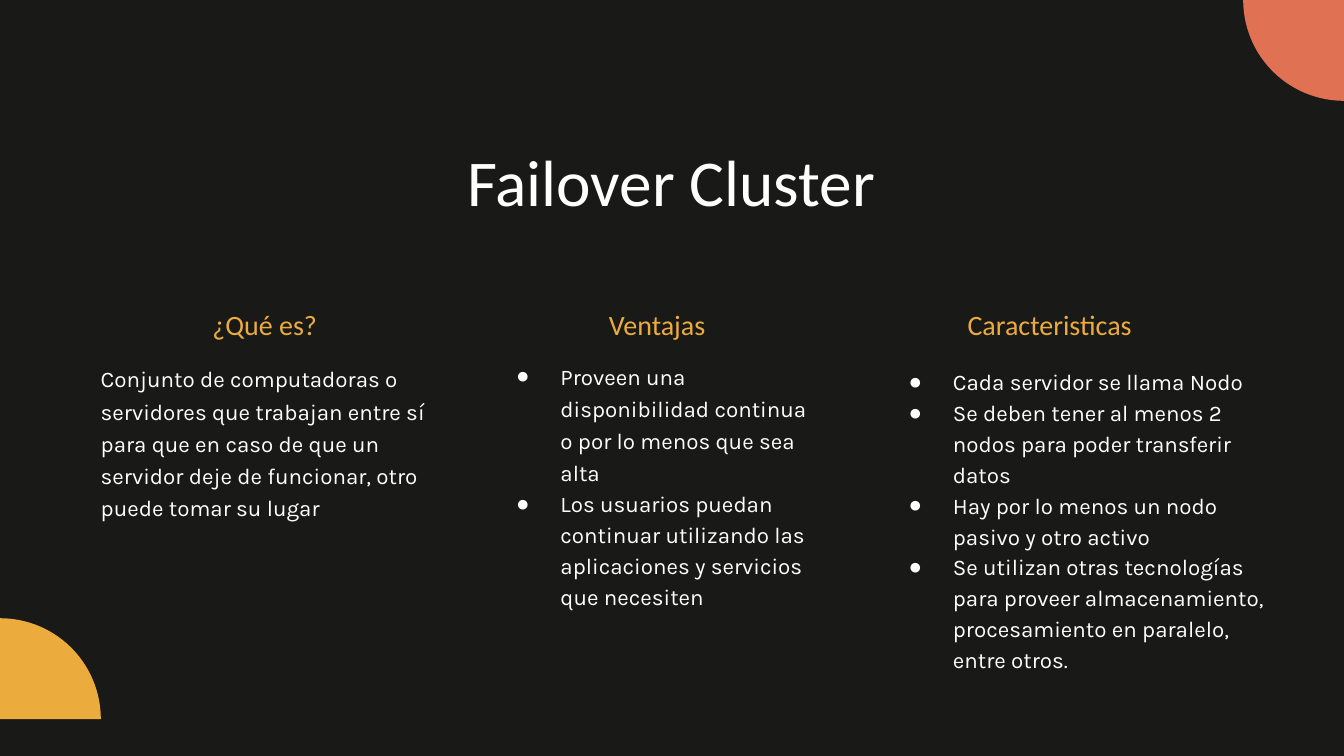
from lxml import etree
from pptx import Presentation
from pptx import util as u
from pptx.dml.color import RGBColor
from pptx.enum import shapes, text
from pptx.oxml import ns

DARK, WHITE, AMBER, CORAL = "191918", "FFFFFF", "EBAC3D", "E17153"
HEADING_TOP, COLUMN_WIDTH = 2.24, 2.44
INTRO = ("Conjunto de computadoras o servidores que trabajan entre sí para que "
         "en caso de que un servidor deje de funcionar, otro puede tomar su lugar")
ADVANTAGES = [
    "Proveen una disponibilidad continua o por lo menos que sea alta",
    "Los usuarios puedan continuar utilizando las aplicaciones y servicios que necesiten",
]
FEATURES = [
    "Cada servidor se llama Nodo",
    "Se deben tener al menos 2 nodos para poder transferir datos",
    "Hay por lo menos un nodo pasivo y otro activo",
    "Se utilizan otras tecnologías para proveer almacenamiento, "
    "procesamiento en paralelo, entre otros.",
]


def paint(fill, color):
    fill.solid()
    fill.fore_color.rgb = RGBColor.from_string(color)


def place(box, left, top, width, height):
    box.left, box.top = u.Inches(left), u.Inches(top)
    box.width, box.height = u.Inches(width), u.Inches(height)


def write(box, lines, font, size, color, align, spacings):
    """Fill a box with one paragraph per line and format it."""
    frame = box.text_frame
    frame.text = "\n".join(lines)
    frame.word_wrap = True
    frame.auto_size = text.MSO_AUTO_SIZE.NONE
    frame.vertical_anchor = text.MSO_ANCHOR.TOP
    frame.margin_left = frame.margin_right = 0
    frame.margin_top = frame.margin_bottom = 0
    for para, spacing in zip(frame.paragraphs, spacings):
        para.alignment = align
        para.line_spacing = spacing
        para.space_before = para.space_after = u.Pt(0)
        for span in para.runs:
            span.font.name = font
            span.font.size = u.Pt(size)
            span.font.color.rgb = RGBColor.from_string(color)


def add_bullet(para):
    props = para._p.get_or_add_pPr()
    props.set("marL", str(u.Inches(0.5)))
    props.set("indent", str(u.Inches(-0.33)))
    tint = etree.SubElement(props, ns.qn("a:buClr"))
    etree.SubElement(tint, ns.qn("a:srgbClr")).set("val", WHITE)
    etree.SubElement(props, ns.qn("a:buFont")).set("typeface", "Arial")
    etree.SubElement(props, ns.qn("a:buChar")).set("char", "●")


def fill_list(box, items, area, spacings):
    place(box, *area)
    write(box, items, "Karla", 12, WHITE, text.PP_ALIGN.LEFT, spacings)
    for para in box.text_frame.paragraphs:
        add_bullet(para)


def add_text(slide, area, line, font, size, color, align):
    box = slide.shapes.add_textbox(*map(u.Inches, area))
    write(box, [line], font, size, color, align, [1.2])


def add_quarter(slide, left, top, rotation, color):
    quarter = slide.shapes.add_shape(
        shapes.MSO_SHAPE.PIE_WEDGE, *map(u.Inches, (left, top, 0.75, 0.75)))
    quarter.rotation = rotation
    quarter.shadow.inherit = False
    paint(quarter.fill, color)
    quarter.line.fill.background()


def main():
    # Widescreen 16:9 deck
    deck = Presentation()
    deck.slide_width = u.Inches(10)
    deck.slide_height = deck.slide_width * 9 // 16
    slide = deck.slides.add_slide(deck.slide_layouts.get_by_name("Two Content"))
    paint(slide.background.fill, DARK)
    title, advantages, features = slide.placeholders

    # Corner decoration
    add_quarter(slide, 9.25, 0, 270, CORAL)
    add_quarter(slide, 0, 4.6, 90, AMBER)

    # Title
    place(title, 1.59, 1.05, 6.81, 0.59)
    write(title, ["Failover Cluster"], "Calibri", 35, WHITE,
          text.PP_ALIGN.CENTER, [1.0])

    # Column headings
    headings = {"¿Qué es?": 0.75, "Ventajas": 3.67, "Caracteristicas": 6.59}
    for heading, left in headings.items():
        add_text(slide, (left, HEADING_TOP, COLUMN_WIDTH, 0.25), heading,
                 "Calibri", 15, AMBER, text.PP_ALIGN.CENTER)

    # Column contents
    add_text(slide, (0.75, 2.68, COLUMN_WIDTH, 1.17), INTRO,
             "Karla", 12, WHITE, text.PP_ALIGN.LEFT)
    fill_list(advantages, ADVANTAGES, (3.67, 2.66, COLUMN_WIDTH, 1.87), [1.2, 1.15])
    fill_list(features, FEATURES, (6.59, 2.71, 2.92, 2.29), [1.15] * len(FEATURES))

    deck.save("out.pptx")


if __name__ == "__main__":
    main()
